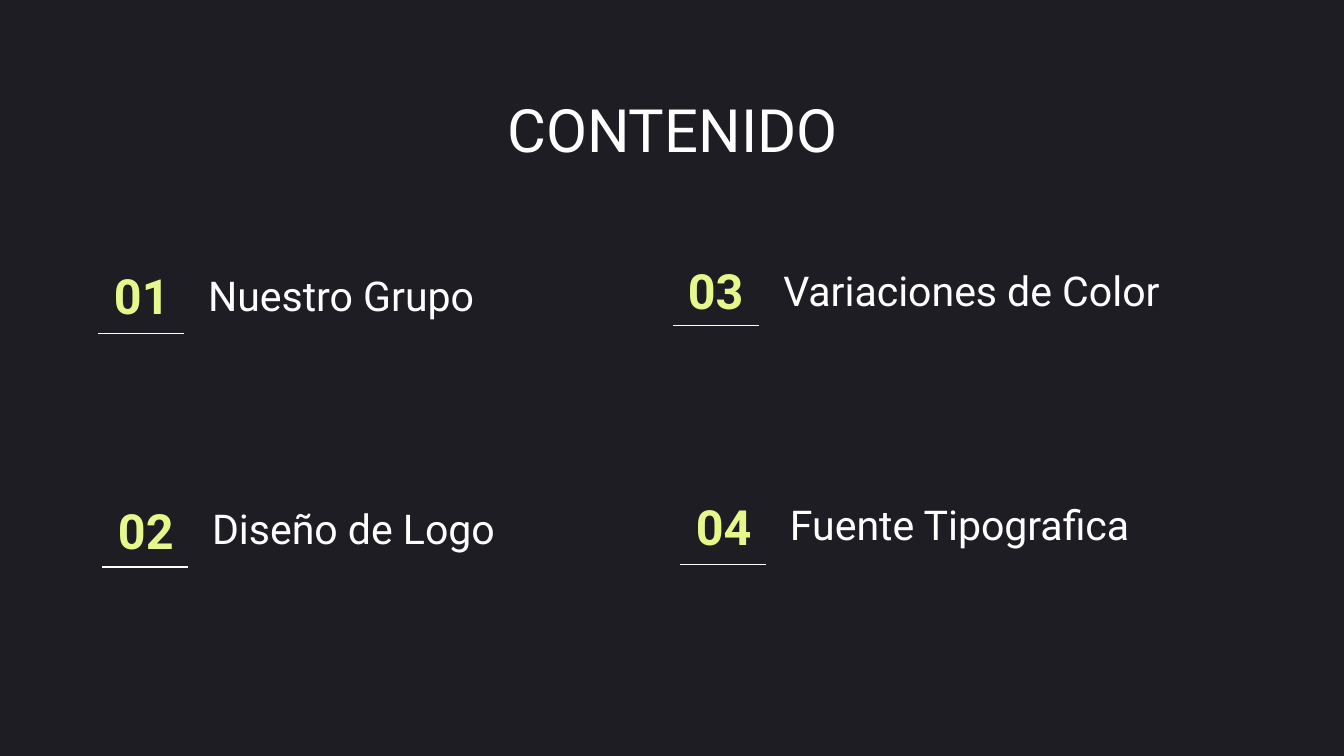
from lxml.etree import SubElement
from pptx import Presentation
from pptx.dml.color import RGBColor
from pptx.enum.shapes import MSO_CONNECTOR
from pptx.enum.text import MSO_ANCHOR as Anchor, MSO_AUTO_SIZE, PP_ALIGN as Align
from pptx.oxml.ns import qn
from pptx.util import Inches, Pt

DARK, WHITE, LIME = "1E1D24", "FFFFFF", "E6F88B"
HEADING = "CONTENIDO"
# number and its left and top, topic and its box, start and height of the rule
SECTIONS = [
    ("01", (0.65, 2.02), "Nuestro Grupo", (1.45, 1.93, 3.49, 0.55), (0.73, 2.48)),
    ("02", (0.68, 3.77), "Diseño de Logo", (1.48, 3.68, 3.2, 0.53), (0.76, 4.22)),
    ("03", (4.92, 1.98), "Variaciones de Color", (5.73, 1.91, 3.2, 0.53), (5.01, 2.42)),
    ("04", (4.98, 3.74), "Fuente Tipografica", (5.78, 3.65, 3.2, 0.53), (5.06, 4.2)),
]
NUMBER_SIZE = (0.81, 0.35)
RULE_WIDTH = 0.64


def color(hex_code):
    return RGBColor.from_string(hex_code)


def add_text(slide, text, box, size, hex_code, align, anchor, bold=False):
    frame = slide.shapes.add_textbox(*map(Inches, box)).text_frame
    frame.word_wrap = True
    frame.auto_size = MSO_AUTO_SIZE.NONE
    frame.vertical_anchor = anchor
    frame.margin_left = frame.margin_right = Inches(0.1)
    frame.margin_top = frame.margin_bottom = Inches(0.1)
    frame.text = text
    paragraph = frame.paragraphs[0]
    paragraph.alignment = align
    font = paragraph.runs[0].font
    font.name, font.size, font.bold = "Roboto", Pt(size), bold
    font.color.rgb = color(hex_code)


def add_rule(slide, left, top):
    rule = slide.shapes.add_connector(
        MSO_CONNECTOR.STRAIGHT, Inches(left), Inches(top),
        Inches(left + RULE_WIDTH), Inches(top))
    rule.line.color.rgb = color(WHITE)
    rule.line.width = Pt(0.75)
    SubElement(rule._element.spPr, qn("a:effectLst"))


def main():
    deck = Presentation()
    deck.slide_width = Inches(10)
    deck.slide_height = Inches(10 * 9 / 16)
    slide = deck.slides.add_slide(deck.slide_layouts[6])
    slide.background.fill.solid()
    slide.background.fill.fore_color.rgb = color(DARK)

    add_text(slide, HEADING, (0.79, 0.59, 8.43, 0.53), 32, WHITE, Align.CENTER, Anchor.TOP)
    for number, number_corner, topic, topic_box, rule_start in SECTIONS:
        add_text(slide, number, number_corner + NUMBER_SIZE, 26, LIME,
                 Align.CENTER, Anchor.MIDDLE, bold=True)
        add_text(slide, topic, topic_box, 22, WHITE, Align.LEFT, Anchor.BOTTOM)
        add_rule(slide, *rule_start)
    deck.save("out.pptx")


if __name__ == "__main__":
    main()
